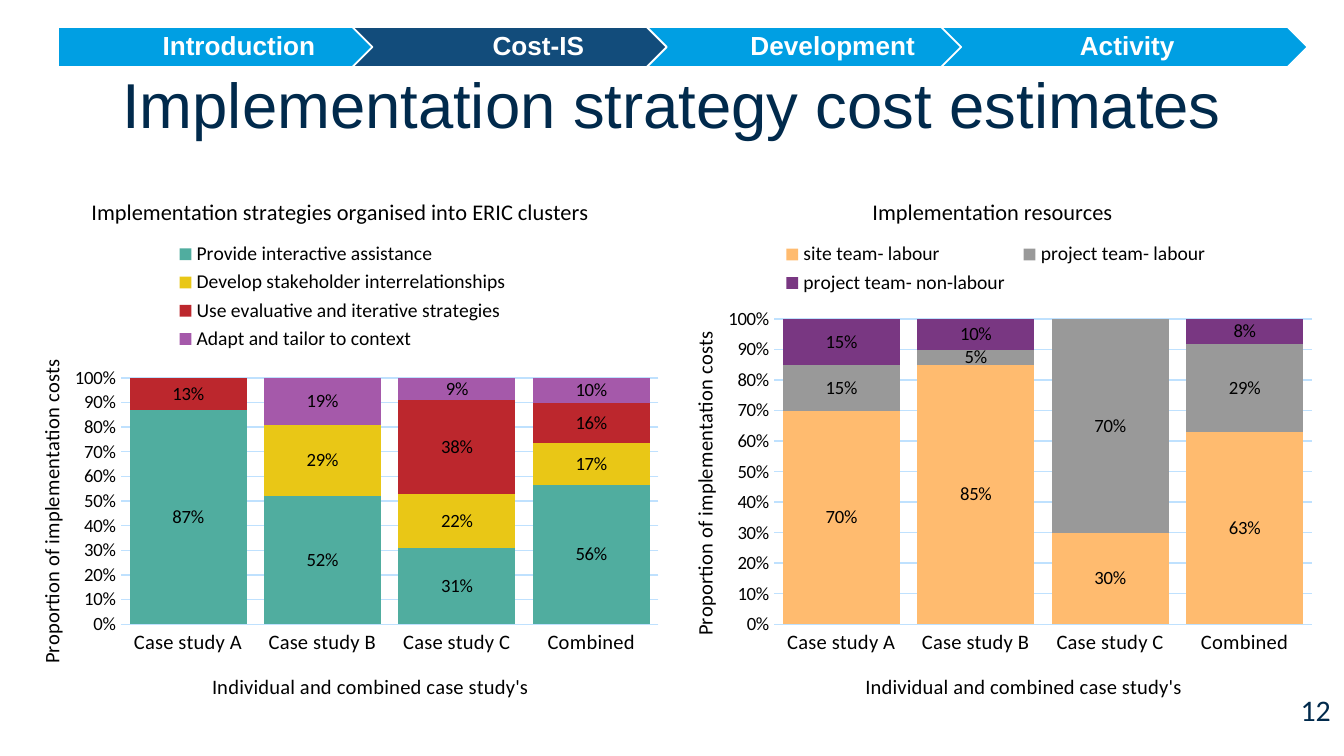
from dataclasses import dataclass

from lxml.etree import SubElement
from pptx import Presentation
from pptx.chart.data import CategoryChartData
from pptx.dml.color import RGBColor
from pptx.enum.chart import XL_CHART_TYPE, XL_LABEL_POSITION, XL_LEGEND_POSITION, XL_TICK_MARK
from pptx.enum.shapes import MSO_SHAPE
from pptx.enum.text import MSO_ANCHOR, MSO_AUTO_SIZE, PP_ALIGN
from pptx.oxml import parse_xml
from pptx.oxml.ns import nsdecls, qn
from pptx.util import Pt


@dataclass(frozen=True)
class Theme:
    navy: str = "012A4C"
    step: str = "009FE3"
    current_step: str = "124C7B"
    white: str = "FFFFFF"
    black: str = "000000"
    grid: str = "BFE1FE"
    heading_font: str = "Arial"
    body_font: str = "Calibri"
    title_size: float = 34
    page_size: float = 16
    step_size: float = 14
    chart_title_size: float = 12
    axis_size: float = 11
    legend_size: float = 10.5
    label_size: float = 10


THEME = Theme()


def write(frame, text, size, color=THEME.black, font=THEME.body_font, bold=False,
          align=PP_ALIGN.CENTER, spacing=None):
    frame.text = text
    paragraph = frame.paragraphs[0]
    paragraph.alignment = align
    if spacing:
        paragraph.line_spacing = spacing
    run_font = paragraph.runs[0].font
    run_font.name, run_font.size, run_font.bold = font, Pt(size), bold
    run_font.color.rgb = RGBColor.from_string(color)


def place(element, **fractions):
    """Fix a chart part at fractions (x, y, w, h) of the chart area."""
    for automatic in element.findall(qn("c:layout")):
        element.remove(automatic)
    layout = parse_xml(f"<c:layout {nsdecls('c')}/>")
    manual = SubElement(layout, qn("c:manualLayout"))
    if element.tag == qn("c:plotArea"):
        SubElement(manual, qn("c:layoutTarget")).set("val", "inner")
    for side in "xy":
        SubElement(manual, qn(f"c:{side}Mode")).set("val", "edge")
    for key, value in fractions.items():
        SubElement(manual, qn(f"c:{key}")).set("val", str(value))
    leading = [child for child in element if child.tag in (qn("c:tx"), qn("c:legendPos"))]
    element.insert(len(leading), layout)


prs = Presentation()
prs.slide_width, prs.slide_height = Pt(720), Pt(405)
slide = prs.slides.add_slide(prs.slide_layouts[5])

# Title and page number
title = slide.shapes.title
title.left, title.top, title.width, title.height = Pt(36), Pt(39), Pt(648), Pt(57)
title.text_frame.auto_size = MSO_AUTO_SIZE.NONE
title.text_frame.vertical_anchor = MSO_ANCHOR.TOP
write(title.text_frame, "Implementation strategy cost estimates", THEME.title_size,
      color=THEME.navy, font=THEME.heading_font, spacing=0.8)

page_number = slide.shapes.add_textbox(Pt(558), Pt(369.5), Pt(162), Pt(21.5))
page_number.text_frame.word_wrap = True
page_number.text_frame.vertical_anchor = MSO_ANCHOR.MIDDLE
write(page_number.text_frame, "12", THEME.page_size, color=THEME.navy, align=PP_ALIGN.RIGHT)

# Stacked charts: each series is name, colour, values; a zero share has no label
charts = [
    dict(
        left=0, title="Implementation strategies organised into ERIC clusters",
        title_x=0.13, value_title_y=0.34,
        legend=dict(x=0.25, y=0.13, w=0.52, h=0.21),
        plot=dict(x=0.18, y=0.38, w=0.8, h=0.44),
        series=[
            ("Provide interactive assistance", "50AD9F", (0.87, 0.52, 0.31, 0.56)),
            ("Develop stakeholder interrelationships", "E9C716", (0, 0.29, 0.22, 0.17)),
            ("Use evaluative and iterative strategies", "BC272D", (0.13, 0, 0.38, 0.16)),
            ("Adapt and tailor to context", "A559AA", (0, 0.19, 0.09, 0.1)),
        ],
    ),
    dict(
        left=350, title="Implementation resources",
        title_x=0.32, value_title_y=0.29,
        legend=dict(x=0.18, y=0.13, w=0.66, h=0.11),
        plot=dict(x=0.18, y=0.275, w=0.8, h=0.545),
        series=[
            ("site team- labour", "FFBB6F", (0.7, 0.85, 0.3, 0.63)),
            ("project team- labour", "999999", (0.15, 0.05, 0.7, 0.29)),
            ("project team- non-labour", "793782", (0.15, 0.1, 0, 0.08)),
        ],
    ),
]

for details in charts:
    data = CategoryChartData(number_format="0%")
    data.categories = ["Case study A", "Case study B", "Case study C", "Combined"]
    for name, _, shares in details["series"]:
        data.add_series(name, shares)
    chart = slide.shapes.add_chart(XL_CHART_TYPE.COLUMN_STACKED_100, Pt(details["left"]),
                                   Pt(88.5), Pt(360), Pt(300), data).chart
    chart.font.name, chart.font.size = THEME.body_font, Pt(THEME.label_size)
    chart.font.color.rgb = RGBColor.from_string(THEME.black)

    chart.has_title = True
    write(chart.chart_title.text_frame, details["title"], THEME.chart_title_size)
    place(chart.chart_title._element, x=details["title_x"], y=0.05)

    chart.has_legend = True
    legend = chart.legend
    legend.position, legend.include_in_layout = XL_LEGEND_POSITION.TOP, False
    legend.font.name, legend.font.size = THEME.body_font, Pt(THEME.legend_size)
    legend.font.color.rgb = RGBColor.from_string(THEME.black)
    place(legend._element, **details["legend"])

    axes = [
        (chart.category_axis, "Individual and combined case study's", THEME.axis_size,
         0.31, 0.9),
        (chart.value_axis, "Proportion of implementation costs", THEME.label_size,
         0.05, details["value_title_y"]),
    ]
    for axis, axis_title, tick_size, x, y in axes:
        axis.major_tick_mark = axis.minor_tick_mark = XL_TICK_MARK.NONE
        axis.tick_labels.font.name = THEME.body_font
        axis.tick_labels.font.size = Pt(tick_size)
        axis.tick_labels.font.color.rgb = RGBColor.from_string(THEME.black)
        write(axis.axis_title.text_frame, axis_title, THEME.axis_size)
        place(axis.axis_title._element, x=x, y=y)

    shares_axis = chart.value_axis
    shares_axis.minimum_scale, shares_axis.maximum_scale, shares_axis.major_unit = 0, 1, 0.1
    shares_axis.tick_labels.number_format = "0%"
    shares_axis.tick_labels.number_format_is_linked = False
    shares_axis.format.line.fill.background()
    text_body = shares_axis.axis_title.text_frame._txBody.find(qn("a:bodyPr"))
    text_body.set("rot", "-5400000")
    text_body.set("vert", "horz")
    for line in (chart.category_axis.format.line, shares_axis.major_gridlines.format.line):
        line.color.rgb, line.width = RGBColor.from_string(THEME.grid), Pt(0.75)

    plot = chart.plots[0]
    plot.gap_width, plot.overlap, plot.vary_by_categories = 15, 100, False
    place(plot._element.getparent(), **details["plot"])
    for series, (_, color, shares) in zip(plot.series, details["series"]):
        series.format.fill.solid()
        series.format.fill.fore_color.rgb = RGBColor.from_string(color)
        labels = series.data_labels
        labels.show_value, labels.position = True, XL_LABEL_POSITION.CENTER
        labels.number_format, labels.number_format_is_linked = "0%", False
        labels.font.name, labels.font.size = THEME.body_font, Pt(THEME.label_size)
        labels.font.color.rgb = RGBColor.from_string(THEME.black)
        empty = [index for index, share in enumerate(shares) if share == 0]
        for position, index in enumerate(empty):
            labels._element.insert(position, parse_xml(
                f'<c:dLbl {nsdecls("c")}><c:idx val="{index}"/><c:delete val="1"/></c:dLbl>'))

# Progress bar
progress = slide.shapes.add_group_shape()
for index, label in enumerate(["Introduction", "Cost-IS", "Development", "Activity"]):
    outline = MSO_SHAPE.CHEVRON if index else MSO_SHAPE.PENTAGON
    step = progress.shapes.add_shape(outline, Pt(31 + 157.7 * index), Pt(14.4),
                                     Pt(196.5), Pt(21.6))
    step.shadow.inherit = False
    step.fill.solid()
    step.fill.fore_color.rgb = RGBColor.from_string(
        THEME.current_step if label == "Cost-IS" else THEME.step)
    step.line.color.rgb, step.line.width = RGBColor.from_string(THEME.white), Pt(1)
    frame = step.text_frame
    frame.word_wrap, frame.vertical_anchor = True, MSO_ANCHOR.MIDDLE
    frame.margin_left, frame.margin_right = Pt(4.5), Pt(1.5)
    frame.margin_top = frame.margin_bottom = Pt(3)
    write(frame, label, THEME.step_size, color=THEME.white, font=THEME.heading_font,
          bold=True, spacing=0.9)

prs.save("out.pptx")
